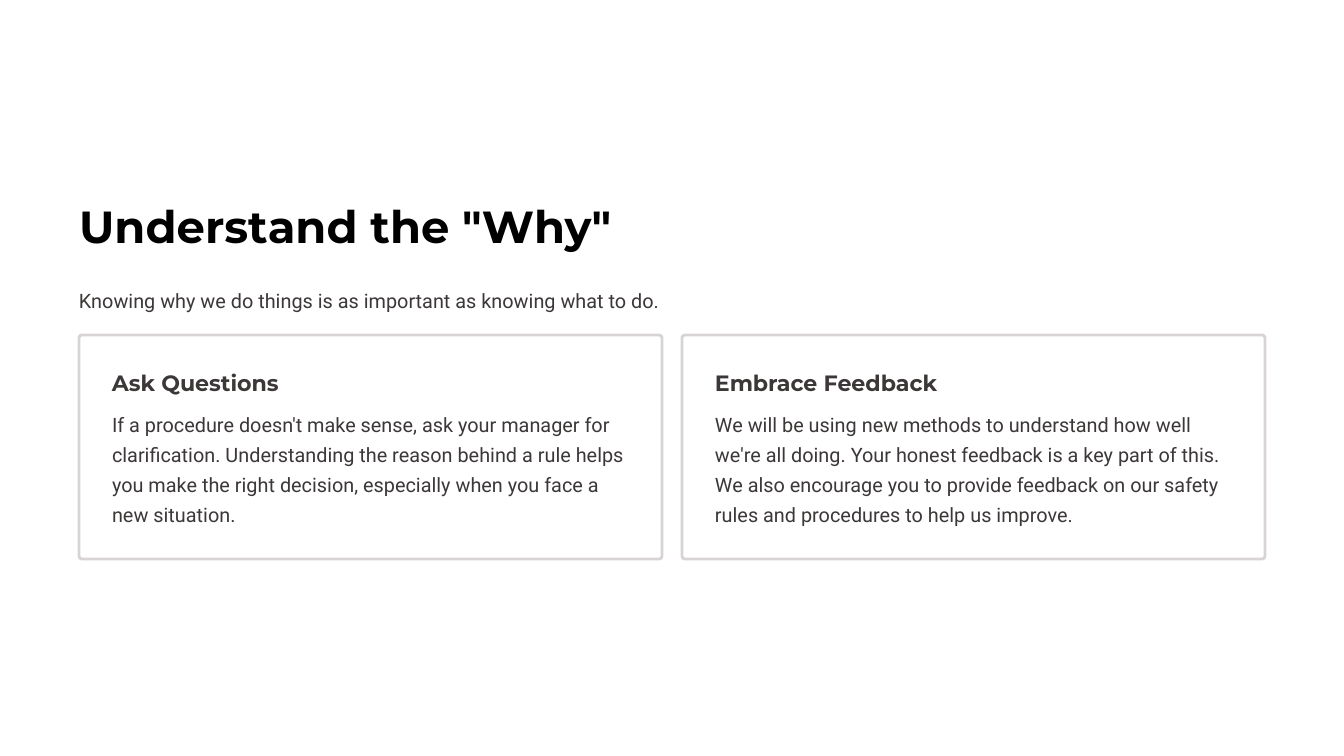
"""Build the slide on understanding the reasons behind procedures."""
from dataclasses import dataclass

from pptx import Presentation
from pptx.dml.color import RGBColor
from pptx.enum.shapes import MSO_SHAPE
from pptx.enum.text import MSO_ANCHOR, PP_ALIGN
from pptx.slide import Slide
from pptx.util import Pt

ROUND = MSO_SHAPE.ROUNDED_RECTANGLE
TOP = MSO_ANCHOR.TOP
LEFT = PP_ALIGN.LEFT
SCALE = 914400 / 84
COLORS = {"paper": "FFFFFF", "title": "000000", "ink": "3D3838", "edge": "D8D4D4"}
FRAME = {"margin_left": 0, "margin_top": 0, "margin_right": 0,
         "margin_bottom": 0, "vertical_anchor": TOP}


@dataclass(frozen=True)
class Style:
    font: str
    size: float
    lead: float
    color: str
    bold: bool = False
    wrap: bool = False


@dataclass(frozen=True)
class Card:
    head: str
    width: int
    body: str


TITLE = Style("Montserrat", 38.5, 48, "title", bold=True)
INTRO = Style("Roboto", 17, 25.5, "ink")
HEAD = Style("Montserrat", 19, 24, "ink", bold=True)
BODY = Style("Roboto", 17, 25.5, "ink", wrap=True)

EDGE, CARD_TOP = 79, 335
CARD_W, CARD_H, GAP, PAD = 583, 224, 20, 33
CARDS = [
    Card("Ask Questions", 225,
         "If a procedure doesn't make sense, ask your manager for clarification. "
         "Understanding the reason behind a rule helps you make the right decision, "
         "especially when you face a new situation."),
    Card("Embrace Feedback", 226,
         "We will be using new methods to understand how well we're all doing. "
         "Your honest feedback is a key part of this. We also encourage you to "
         "provide feedback on our safety rules and procedures to help us improve."),
]


def px(*sizes: int) -> list[int]:
    return [round(size * SCALE) for size in sizes]


def color(name: str) -> RGBColor:
    return RGBColor.from_string(COLORS[name])


def add_text(slide: Slide, text: str, box: tuple[int, int, int, int],
             style: Style) -> None:
    frame = slide.shapes.add_textbox(*px(*box)).text_frame
    for name, value in (FRAME | {"word_wrap": style.wrap}).items():
        setattr(frame, name, value)
    para = frame.paragraphs[0]
    para.alignment = LEFT
    para.line_spacing = Pt(style.lead)
    run = para.add_run()
    run.text = text
    form = {"name": style.font, "size": Pt(style.size), "bold": style.bold}
    for name, value in form.items():
        setattr(run.font, name, value)
    run.font.color.rgb = color(style.color)


def add_card(slide: Slide, card: Card, left: int) -> None:
    shape = slide.shapes.add_shape(ROUND, *px(left, CARD_TOP, CARD_W, CARD_H))
    shape.adjustments[0] = 0.013
    shape.shadow.inherit = False
    shape.fill.solid()
    shape.fill.fore_color.rgb = color("paper")
    shape.line.color.rgb = color("edge")
    shape.line.width = Pt(2.4)
    inner = left + PAD
    add_text(slide, card.head, (inner, CARD_TOP + PAD, card.width, 29), HEAD)
    add_text(slide, card.body, (inner, CARD_TOP + 72, CARD_W - 2 * PAD, 119), BODY)


def main() -> None:
    deck = Presentation()
    deck.slide_width, deck.slide_height = px(16 * 84, 9 * 84)
    slide = deck.slides.add_slide(deck.slide_layouts[6])
    slide.background.fill.solid()
    slide.background.fill.fore_color.rgb = color("paper")
    add_text(slide, 'Understand the "Why"', (EDGE, 197, 533, 56), TITLE)
    add_text(slide, "Knowing why we do things is as important as knowing what to do.",
             (EDGE, 283, 1185, 29), INTRO)
    for index, card in enumerate(CARDS):
        add_card(slide, card, EDGE + index * (CARD_W + GAP))
    deck.save("out.pptx")


if __name__ == "__main__":
    main()
